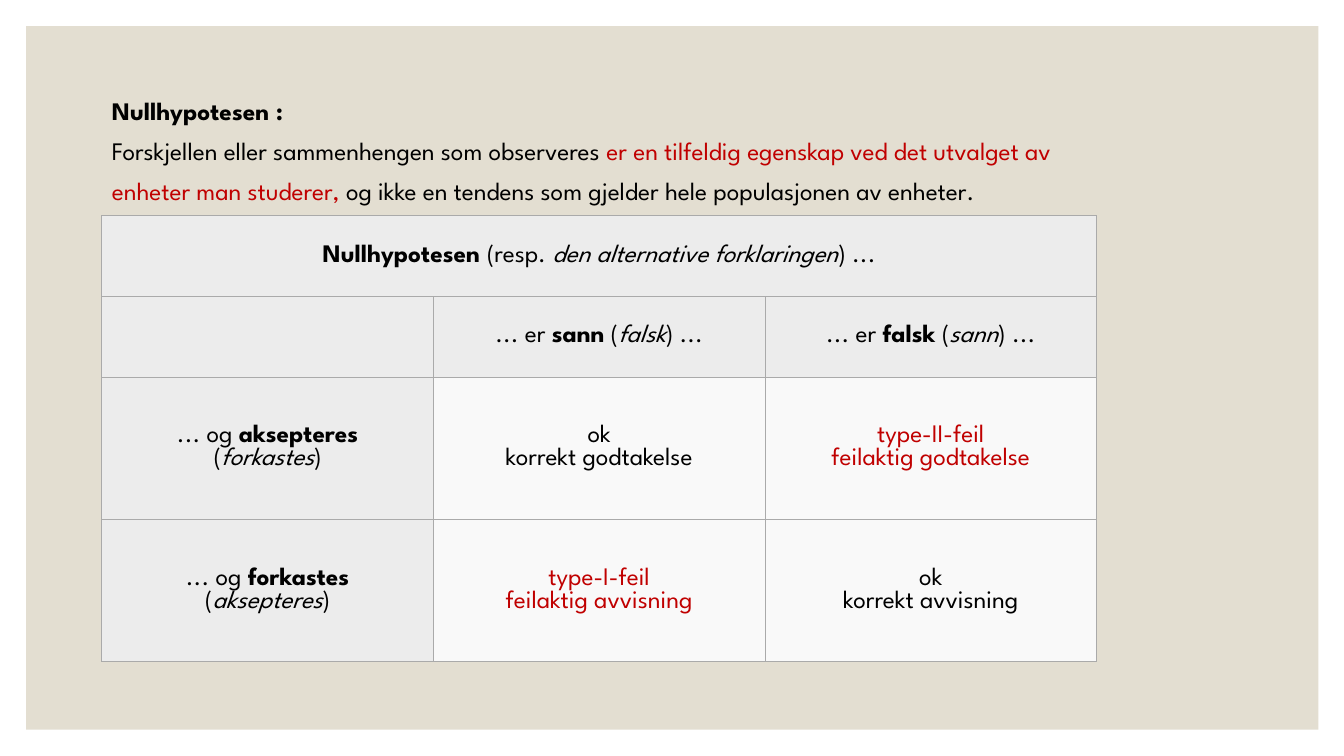
from dataclasses import dataclass

from lxml.etree import SubElement
from pptx import Presentation
from pptx.dml.color import RGBColor
from pptx.enum.shapes import MSO_SHAPE
from pptx.enum.text import MSO_ANCHOR, MSO_AUTO_SIZE, PP_ALIGN
from pptx.oxml.ns import qn
from pptx.util import Pt


@dataclass(frozen=True)
class Theme:
    font: str = "League Spartan"
    size: float = 18
    statement_spacing: float = 1.32
    border_width: float = 0.75
    panel: str = "E3DED1"
    text: str = "000000"
    accent: str = "C00000"
    header: str = "ECECEC"
    answer: str = "F9F9F9"
    border: str = "AAAAAA"


THEME = Theme()
PLAIN, BOLD, ITALIC, ACCENT = "plain", "bold", "italic", "accent"

SLIDE_WIDTH, SLIDE_HEIGHT = 960, 540
PANEL_BOX = (18.72, 18.72, 923.04, 502.56)
STATEMENT_BOX = (72.72, 57.6, 721.44, 72.72)
TABLE_BOX = (72.72, 154.08, 710.64, 318.6)
ROW_SHARES = (0.8, 0.8, 1.41, 1.41)

# A paragraph is a list of lines; a line is a list of (text, style) spans.
STATEMENT = [
    [[("Nullhypotesen :", BOLD)]],
    [[
        ("Forskjellen eller sammenhengen som observeres ", PLAIN),
        ("er en tilfeldig egenskap ved det utvalget av enheter man studerer, ", ACCENT),
        ("og ikke en tendens som gjelder hele populasjonen av enheter.", PLAIN),
    ]],
]


def truth_header(verdict, opposite):
    return [[("... er ", PLAIN), (verdict, BOLD), (" (", PLAIN),
             (opposite, ITALIC), (") ...", PLAIN)]]


def decision_header(decision, opposite):
    return [[("... og ", PLAIN), (decision, BOLD)],
            [("(", PLAIN), (opposite, ITALIC), (")", PLAIN)]]


def outcome(name, meaning, style=PLAIN):
    return [[(name, style)], [(meaning, style)]]


TABLE_ROWS = [
    [[[("Nullhypotesen ", BOLD), ("(resp. ", PLAIN),
       ("den alternative forklaringen", ITALIC), (") ...", PLAIN)]], [], []],
    [[], truth_header("sann", "falsk"), truth_header("falsk", "sann")],
    [decision_header("aksepteres", "forkastes"),
     outcome("ok", "korrekt godtakelse"),
     outcome("type-II-feil", "feilaktig godtakelse", ACCENT)],
    [decision_header("forkastes", "aksepteres"),
     outcome("type-I-feil", "feilaktig avvisning", ACCENT),
     outcome("ok", "korrekt avvisning")],
]


def colour(value):
    return RGBColor.from_string(value)


def write_paragraph(paragraph, lines, alignment):
    paragraph.alignment = alignment
    font = paragraph.font
    font.name, font.size = THEME.font, Pt(THEME.size)
    font.color.rgb = colour(THEME.text)
    for number, line in enumerate(lines):
        if number:
            paragraph.add_line_break()
        for text, style in line:
            span = paragraph.add_run()
            span.text = text
            span.font.bold = style == BOLD
            span.font.italic = style == ITALIC
            if style == ACCENT:
                span.font.color.rgb = colour(THEME.accent)


def add_panel(slide, box):
    """Place the coloured panel behind the title placeholder."""
    panel = slide.shapes.add_shape(MSO_SHAPE.RECTANGLE, *map(Pt, box))
    panel.shadow.inherit = False
    panel.fill.solid()
    panel.fill.fore_color.rgb = colour(THEME.panel)
    panel.line.fill.background()
    slide.shapes.title.element.addprevious(panel.element)


def add_statement(slide, box):
    title = slide.shapes.title
    title.left, title.top, title.width, title.height = map(Pt, box)
    frame = title.text_frame
    frame.word_wrap = True
    frame.auto_size = MSO_AUTO_SIZE.NONE
    frame.vertical_anchor = MSO_ANCHOR.TOP
    for number, lines in enumerate(STATEMENT):
        paragraph = frame.add_paragraph() if number else frame.paragraphs[0]
        paragraph.line_spacing = THEME.statement_spacing
        write_paragraph(paragraph, lines, PP_ALIGN.LEFT)


def format_cell(cell, fill):
    properties = cell._tc.get_or_add_tcPr()
    for side in ("a:lnL", "a:lnR", "a:lnT", "a:lnB"):
        line = SubElement(properties, qn(side), w=str(Pt(THEME.border_width)))
        solid = SubElement(line, qn("a:solidFill"))
        SubElement(solid, qn("a:srgbClr"), val=THEME.border)
    cell.fill.solid()
    cell.fill.fore_color.rgb = colour(fill)
    cell.vertical_anchor = MSO_ANCHOR.MIDDLE


def add_decision_table(slide, box):
    column_count = len(TABLE_ROWS[0])
    table = slide.shapes.add_table(len(TABLE_ROWS), column_count, *map(Pt, box)).table
    table.first_row = table.horz_banding = False
    width, height = box[2:]
    for column in table.columns:
        column.width = Pt(width / column_count)
    for row, share in zip(table.rows, ROW_SHARES):
        row.height = Pt(height * share / sum(ROW_SHARES))
    for row_number, row in enumerate(TABLE_ROWS):
        for column_number, lines in enumerate(row):
            cell = table.cell(row_number, column_number)
            is_header = row_number < 2 or column_number == 0
            format_cell(cell, THEME.header if is_header else THEME.answer)
            write_paragraph(cell.text_frame.paragraphs[0], lines, PP_ALIGN.CENTER)
    table.cell(0, 0).merge(table.cell(0, column_count - 1))


def main():
    deck = Presentation()
    deck.slide_width, deck.slide_height = Pt(SLIDE_WIDTH), Pt(SLIDE_HEIGHT)
    slide = deck.slides.add_slide(deck.slide_layouts.get_by_name("Title Only"))
    add_panel(slide, PANEL_BOX)
    add_decision_table(slide, TABLE_BOX)
    add_statement(slide, STATEMENT_BOX)
    deck.save("out.pptx")


if __name__ == "__main__":
    main()
